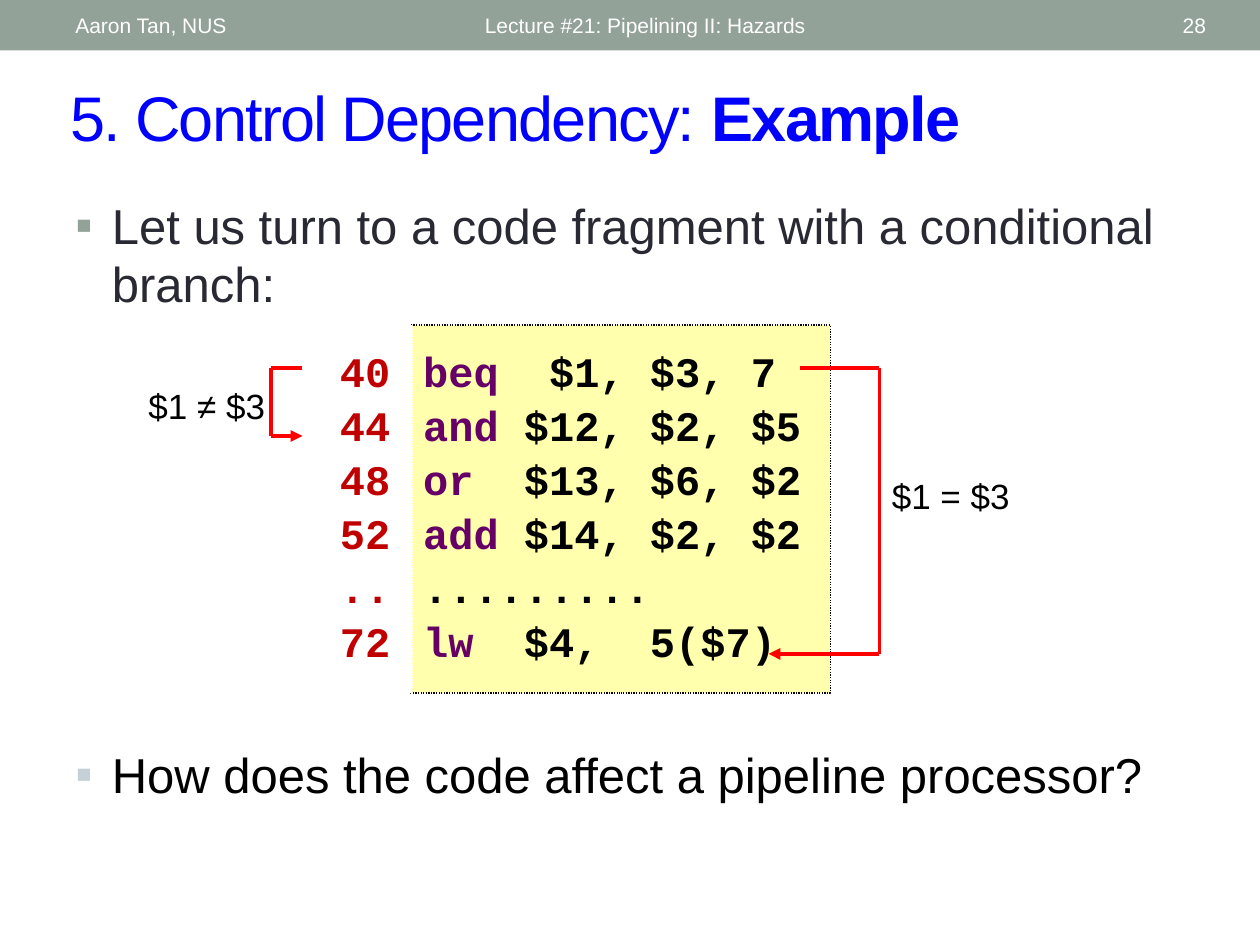
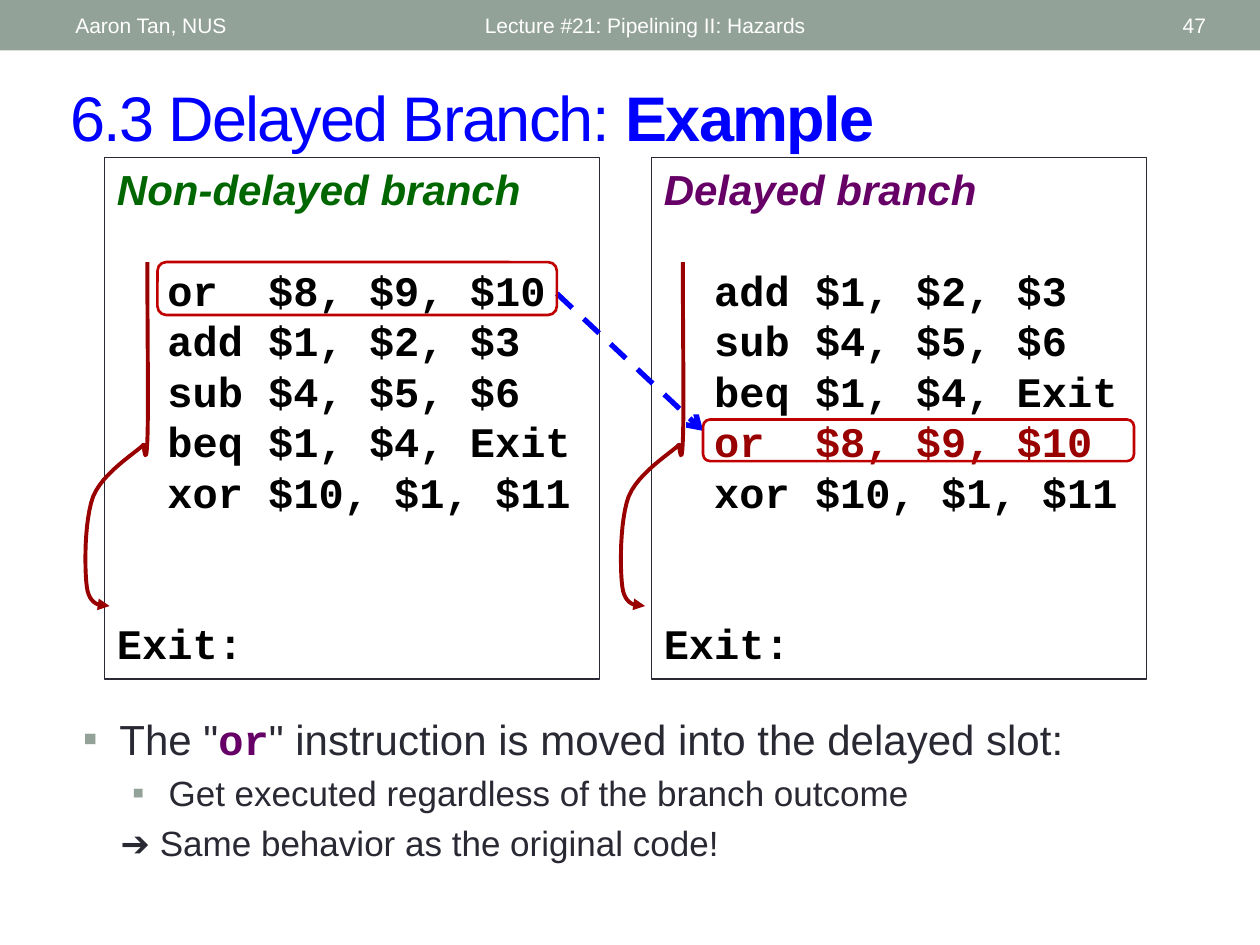
import pptx
import pptx.util
import pptx.dml.color
import pptx.enum.dml
import pptx.enum.shapes
import pptx.enum.text
import pptx.oxml.ns
import lxml.etree

Inches, Pt = pptx.util.Inches, pptx.util.Pt
RGB = pptx.dml.color.RGBColor.from_string
qn = pptx.oxml.ns.qn
SHAPE = pptx.enum.shapes.MSO_SHAPE
STRAIGHT = pptx.enum.shapes.MSO_CONNECTOR.STRAIGHT
DASH = pptx.enum.dml.MSO_LINE
ALIGN = pptx.enum.text.PP_ALIGN
ANCHOR = pptx.enum.text.MSO_ANCHOR

COLORS = {
    "band": "93A299", "title": "0000FF", "body": "292934", "white": "FFFFFF",
    "black": "000000", "pale": "C5D1D7", "code": "FFFFAD", "purple": "660066",
    "green": "006600", "address": "C00000", "jump": "990000", "bracket": "FF0000",
}
SANS, MONO = "Arial", "Courier New"


def write(box, paras, size=24, color="black", font=SANS, bold=False, italic=False,
          align=ALIGN.LEFT, anchor=ANCHOR.TOP, wrap=True, before=0, spacing=None,
          track=None, bullet=None, indent=None):
    """Fill a box; each paragraph is a list of runs (text, format) plus optional settings."""
    frame = box.text_frame
    frame.word_wrap, frame.vertical_anchor = wrap, anchor
    if isinstance(paras, str):
        paras = [([(paras, {})], {})]
    for index, (runs, layout) in enumerate(paras):
        para = frame.paragraphs[0] if index == 0 else frame.add_paragraph()
        para.alignment = align
        para.space_before = Pt(layout.get("before", before) if index else 0)
        if spacing:
            para.line_spacing = spacing
        left, first = layout.get("indent", indent) or (0, 0)
        props = para._p.get_or_add_pPr()
        props.set("marL", str(Inches(left)))
        props.set("indent", str(Inches(first)))
        mark = layout.get("bullet", bullet)
        if mark:
            tint = lxml.etree.SubElement(props, qn("a:buClr"))
            lxml.etree.SubElement(tint, qn("a:srgbClr"), val=COLORS[mark])
            lxml.etree.SubElement(props, qn("a:buFont"), typeface=SANS)
            lxml.etree.SubElement(props, qn("a:buChar"), char="▪")
        for text, changes in runs:
            look = dict(size=size, color=color, font=font, bold=bold, italic=italic)
            look.update(changes)
            span = para.add_run()
            span.text = text
            span.font.size, span.font.name = Pt(look["size"]), look["font"]
            span.font.bold, span.font.italic = look["bold"], look["italic"]
            span.font.color.rgb = RGB(COLORS[look["color"]])
            if track:
                span.font._element.set("spc", str(track))


def outline(item, color, width, dash=None, arrow=None):
    """Set the line of a shape or connector and take its shadow away."""
    item.line.color.rgb, item.line.width = RGB(COLORS[color]), Pt(width)
    if dash:
        item.line.dash_style = dash
    if arrow:
        lxml.etree.SubElement(item.line._get_or_add_ln(), qn("a:tailEnd"), type=arrow)
    if hasattr(item, "shadow"):
        item.shadow.inherit = False
    else:
        lxml.etree.SubElement(item._element.spPr, qn("a:effectLst"))


deck = pptx.Presentation()
deck.slide_width, deck.slide_height = Inches(10), Inches(7.5)

# Band, header texts and title of every slide
pages = []
for topic, number in (("5. Control Dependency: ", "28"), ("6.3 Delayed Branch: ", "47")):
    page = deck.slides.add_slide(deck.slide_layouts[6])
    pages.append(page)
    band = page.shapes.add_shape(SHAPE.RECTANGLE, 0, 0, Inches(10), Inches(0.4))
    band.shadow.inherit = False
    band.fill.solid()
    band.fill.fore_color.rgb = RGB(COLORS["band"])
    band.line.fill.background()
    for text, left, width, align in (
            ("Aaron Tan, NUS", 0.5, 3.17, ALIGN.LEFT),
            ("Lecture #21: Pipelining II: Hazards", 3.75, 4.5, ALIGN.LEFT),
            (number, 8.72, 0.95, ALIGN.RIGHT)):
        header = page.shapes.add_textbox(Inches(left), Inches(0.02), Inches(width), Inches(0.36))
        write(header, text, size=12, color="white", align=align, anchor=ANCHOR.MIDDLE)
    title = page.shapes.add_textbox(Inches(0.46), Inches(0.57), Inches(9.21), Inches(0.7))
    write(title, [([(topic, {}), ("Example", {"bold": True})], {})], size=36,
          color="title", anchor=ANCHOR.MIDDLE, track=-100)
dependency, delayed = pages

# Control dependency: bullets
for text, top, height, color, mark in (
        ("Let us turn to a code fragment with a conditional branch:", 1.5, 1.03, "body", "band"),
        ("How does the code affect a pipeline processor?", 5.86, 1.08, "black", "pale")):
    box = dependency.shapes.add_textbox(Inches(0.5), Inches(top), Inches(9), Inches(height))
    write(box, text, size=28, color=color, bullet=mark, indent=(0.29, -0.29))

# Control dependency: code with its addresses
program = [("40", "beq", "  $1, $3, 7"), ("44", "and", " $12, $2, $5"),
           ("48", "or", "  $13, $6, $2"), ("52", "add", " $14, $2, $2"),
           ("..", "", "........."), ("72", "lw", "  $4,  5($7)")]
code_lines = [([(name, {"color": "purple"}), (rest, {})] if name else [(rest, {})], {})
              for _, name, rest in program]
addresses = [([(address, {"color": "address"})], {}) for address, _, _ in program]
for paras, left, width, fill, edge in (
        (code_lines, 3.26, 3.33, "code", "black"), (addresses, 2.6, 0.67, "white", "white")):
    box = dependency.shapes.add_shape(
        SHAPE.RECTANGLE, Inches(left), Inches(2.58), Inches(width), Inches(2.92))
    box.fill.solid()
    box.fill.fore_color.rgb = RGB(COLORS[fill])
    outline(box, edge, 0.75, dash=DASH.ROUND_DOT)
    write(box, paras, font=MONO, bold=True, anchor=ANCHOR.MIDDLE, before=5, spacing=0.9)

# Control dependency: branch brackets and their conditions
for start, side, end, bottom, label, left, top in (
        (6.35, 6.98, 6.1, 5.19, "$1 = $3", 6.98, 3.72),
        (2.4, 2.15, 2.4, 3.46, "$1 ≠ $3", 1.08, 3)):
    corners = [(start, 2.92), (side, 2.92), (side, bottom), (end, bottom)]
    for step, (tail, head) in enumerate(zip(corners, corners[1:])):
        line = dependency.shapes.add_connector(STRAIGHT, *map(Inches, tail + head))
        outline(line, "bracket", 2.25, arrow="triangle" if step == 2 else None)
    box = dependency.shapes.add_textbox(Inches(left), Inches(top), Inches(1.14), Inches(0.44))
    write(box, label, size=20, wrap=False)

# Delayed branch: code panels and jump arrows
moved = "or  $8, $9, $10"
shared = ["add $1, $2, $3", "sub $4, $5, $6", "beq $1, $4, Exit"]
last = "xor $10, $1, $11"
jump_curve = [(0.5, 0), (0.5, 0.59), (0.51, 1.18), (0.5, 1.42), (0.49, 1.66), (0.47, 1.45),
              (0.47, 1.45), (0.4, 1.52), (0.15, 1.67), (0.07, 1.86), (0, 2.05), (0, 2.43),
              (0.02, 2.58), (0.04, 2.72), (0.12, 2.73), (0.2, 2.73)]
for heading, color, code, moved_color, panel_left, jump_left in (
        ("Non-delayed branch", "green", [moved] + shared + [last], "black", 0.83, 0.67),
        ("Delayed branch", "purple", shared + [moved, last], "jump", 5.17, 4.92)):
    panel = delayed.shapes.add_shape(
        SHAPE.RECTANGLE, Inches(panel_left), Inches(1.25), Inches(3.93), Inches(4.14))
    panel.fill.background()
    outline(panel, "body", 0.75)
    paras = [([(heading, {"font": SANS, "color": color, "italic": True})], {})]
    for row, text in enumerate(code):
        tint = moved_color if text == moved else "black"
        paras.append(([("  " + text, {"color": tint})], {"before": 0 if row else 28.8}))
    paras.append(([("Exit:", {})], {"before": 57.6}))
    write(panel, paras, font=MONO, bold=True)

    points = []
    for first in range(0, len(jump_curve) - 1, 3):
        a, b, c, d = jump_curve[first:first + 4]
        for t in (step / 12 for step in range(13)):
            x, y = ((1 - t) ** 3 * a[i] + 3 * t * (1 - t) ** 2 * b[i]
                    + 3 * t * t * (1 - t) * c[i] + t ** 3 * d[i] for i in (0, 1))
            points.append((Inches(jump_left + x), Inches(2.08 + y)))
    builder = delayed.shapes.build_freeform(*points[0])
    builder.add_line_segments(points[1:], close=False)
    jump = builder.convert_to_shape()
    jump.fill.background()
    outline(jump, "jump", 2.25, arrow="triangle")

# Delayed branch: the moved instruction
move = delayed.shapes.add_connector(
    STRAIGHT, Inches(4.42), Inches(2.33), Inches(5.58), Inches(3.42))
outline(move, "title", 3, dash=DASH.DASH, arrow="arrow")
for left, top, width, height in ((5.58, 3.33, 3.42, 0.33), (1.25, 2.08, 3.17, 0.42)):
    frame = delayed.shapes.add_shape(
        SHAPE.ROUNDED_RECTANGLE, Inches(left), Inches(top), Inches(width), Inches(height))
    frame.fill.background()
    outline(frame, "address", 1.5)

# Delayed branch: conclusion
box = delayed.shapes.add_textbox(Inches(0.56), Inches(5.61), Inches(9), Inches(1.29))
write(box, [
    ([("The \"", {}), ("or", {"font": MONO, "color": "purple", "bold": True}),
      ("\" instruction is moved into the delayed slot:", {})],
     {"bullet": "band", "indent": (0.29, -0.29)}),
    ([("Get executed regardless of the branch outcome", {"size": 20})],
     {"bullet": "band", "indent": (0.68, -0.29)}),
    ([("➔ Same behavior as the original code!", {"size": 20})], {"indent": (0.5, -0.2)}),
], color="body", before=4.6)

deck.save("out.pptx")
